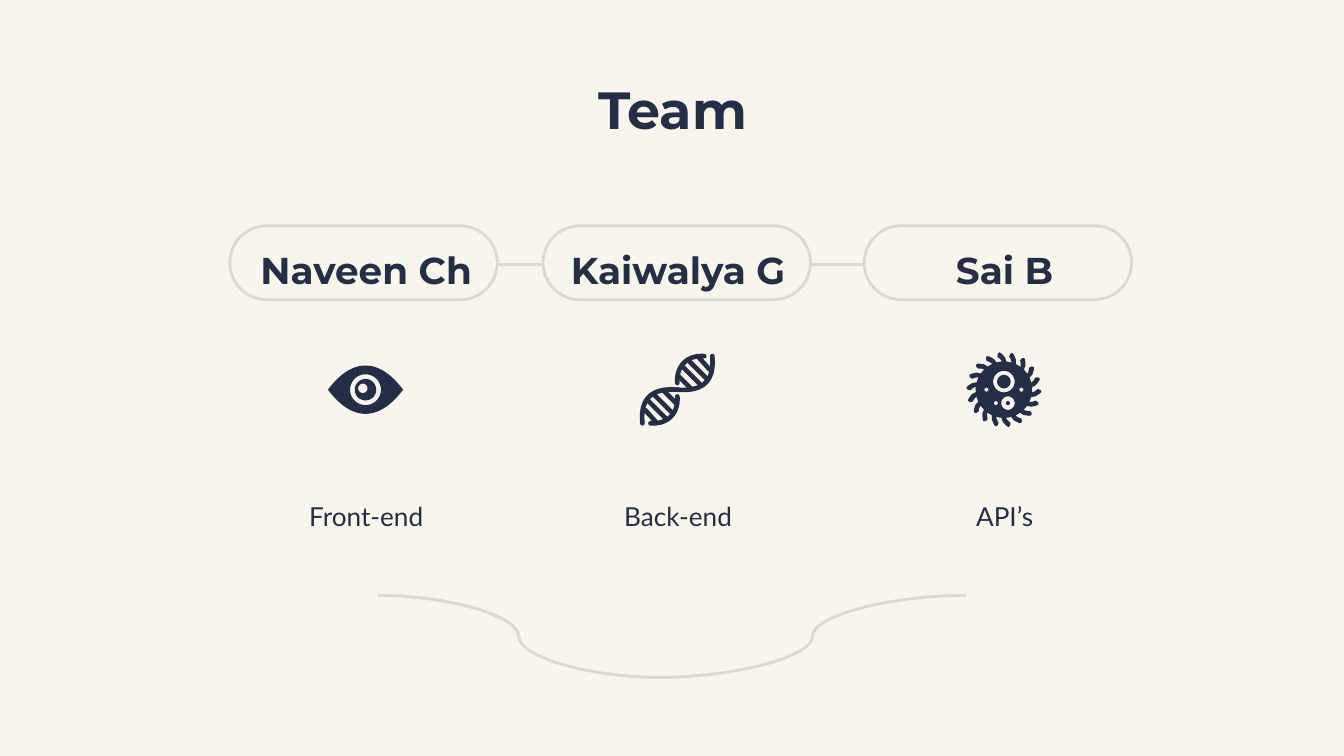
from dataclasses import dataclass
from math import cos, radians, sin

from lxml.etree import SubElement
from pptx import Presentation
from pptx.dml.color import RGBColor
from pptx.enum.shapes import MSO_CONNECTOR as Connector, MSO_SHAPE as Shape
from pptx.enum.text import MSO_ANCHOR as Anchor, PP_ALIGN as Align
from pptx.oxml.ns import qn
from pptx.util import Inches, Pt


@dataclass(frozen=True)
class Theme:
    paper: RGBColor = RGBColor.from_string("F8F5EC")
    ink: RGBColor = RGBColor.from_string("252E47")
    rule: RGBColor = RGBColor.from_string("DADACE")
    heading_font: str = "Montserrat"
    body_font: str = "Lato"
    title_size: Pt = Pt(28)
    name_size: Pt = Pt(20)
    role_size: Pt = Pt(14)
    rule_width: Pt = Pt(1.5)
    strand_width: Pt = Pt(2.5)


theme = Theme()


def write(box, text, font, size, bold=False, anchor=Anchor.MIDDLE, spacing=1.0):
    """Fill a box with one centred line of ink-coloured text."""
    frame = box.text_frame
    frame.text = text
    frame.word_wrap = True
    frame.vertical_anchor = anchor
    frame.margin_left = frame.margin_right = Inches(0.1)
    frame.margin_top = frame.margin_bottom = Inches(0.1)
    paragraph = frame.paragraphs[0]
    paragraph.alignment = Align.CENTER
    paragraph.line_spacing = spacing
    run_font = paragraph.runs[0].font
    run_font.name, run_font.size, run_font.bold = font, size, bold
    run_font.color.rgb = theme.ink


def bezier(start, pull_1, pull_2, end, steps=24):
    """Sample a cubic curve as a list of points."""
    points = []
    for i in range(steps + 1):
        t = i / steps
        weights = ((1 - t) ** 3, 3 * t * (1 - t) ** 2, 3 * t * t * (1 - t), t ** 3)
        corners = (start, pull_1, pull_2, end)
        points.append(tuple(sum(w * c[axis] for w, c in zip(weights, corners))
                            for axis in (0, 1)))
    return points


prs = Presentation()
prs.slide_width = Inches(10)
prs.slide_height = prs.slide_width * 9 // 16
slide = prs.slides.add_slide(prs.slide_layouts[5])
slide.background.fill.solid()
slide.background.fill.fore_color.rgb = theme.paper
shapes = slide.shapes

title = shapes.title
title.left, title.top = Inches(0.79), Inches(0.49)
title.width, title.height = Inches(8.43), Inches(0.63)
write(title, "Team", theme.heading_font, theme.title_size, bold=True)

# The line behind the name pills and the two halves of the curve below
for kind, x1, y1, x2, y2 in (
    (Connector.STRAIGHT, 2.89, 1.97, 7.9, 1.97),
    (Connector.CURVE, 2.81, 4.43, 4.91, 5.04),
    (Connector.CURVE, 7.19, 4.43, 4.9, 5.04),
):
    link = shapes.add_connector(kind, Inches(x1), Inches(y1), Inches(x2), Inches(y2))
    link.line.color.rgb = theme.rule
    link.line.width = theme.rule_width
    SubElement(link._element.spPr, qn("a:effectLst"))

# Team members: pill left, text left, name, role
for pill_left, text_left, name, role in (
    (1.71, 1.8, "Naveen Ch", "Front-end"),
    (4.04, 4.12, "Kaiwalya G", "Back-end"),
    (6.43, 6.55, "Sai B", "API’s"),
):
    pill = shapes.add_shape(Shape.ROUNDED_RECTANGLE, Inches(pill_left), Inches(1.68),
                            Inches(1.99), Inches(0.55))
    pill.adjustments[0] = 0.5
    pill.shadow.inherit = False
    pill.fill.solid()
    pill.fill.fore_color.rgb = theme.paper
    pill.line.color.rgb = theme.rule
    pill.line.width = theme.rule_width

    role_box = shapes.add_textbox(Inches(text_left), Inches(3.49), Inches(1.85), Inches(0.7))
    write(role_box, role, theme.body_font, theme.role_size)
    name_box = shapes.add_textbox(Inches(text_left), Inches(1.69), Inches(1.85), Inches(0.63))
    write(name_box, name, theme.heading_font, theme.name_size, bold=True,
          anchor=Anchor.TOP, spacing=1.15)

# Eye: two mirrored lids
eye = (bezier((2.44, 2.9), (2.62, 2.66), (2.82, 2.66), (3, 2.9))
       + bezier((3, 2.9), (2.82, 3.14), (2.62, 3.14), (2.44, 2.9)))

# Microbe: one bent hair (radius, angle) repeated around the body
hair = ((0.21, -94), (0.23, -97), (0.25, -101), (0.27, -100), (0.28, -97),
        (0.27, -94), (0.24, -88), (0.21, -85), (0.21, -79))
hair_count = 18
microbe = []
for i in range(hair_count):
    for radius, angle in hair:
        turn = radians(angle + i * 360 / hair_count)
        microbe.append((7.47 + radius * cos(turn), 2.9 + radius * sin(turn)))

# DNA: the upper lobe, then the same lobe turned half round the centre
upper_lobe = [
    bezier((5.24, 2.65), (5.1, 2.64), (5.03, 2.74), (5.04, 2.85)),
    bezier((5.3, 2.65), (5.31, 2.77), (5.29, 2.92), (5.04, 2.9)),
    [(5.2, 2.66), (5.28, 2.75)],
    [(5.13, 2.69), (5.26, 2.82)],
    [(5.08, 2.73), (5.21, 2.86)],
    [(5.05, 2.8), (5.14, 2.89)],
]
dna = upper_lobe + [[(10.08 - x, 5.8 - y) for x, y in strand] for strand in upper_lobe]

# Icon parts: outlines, then circles (centre x, centre y, diameter) cut out or drawn
for contours, circles, filled in (
    ([microbe], ((7.47, 2.84, 0.16), (7.5, 3, 0.1), (7.34, 2.9, 0.03),
                 (7.6, 2.9, 0.03), (7.41, 3, 0.03)), True),
    ([], ((7.47, 2.84, 0.1),), True),
    ([], ((7.5, 3, 0.03),), True),
    ([], ((2.72, 2.9, 0.16), (2.7, 2.89, 0.07)), True),
    ([eye], ((2.72, 2.9, 0.23),), True),
    (dna, (), False),
):
    rings = [[(x + diameter / 2 * cos(radians(a)), y + diameter / 2 * sin(radians(a)))
              for a in range(0, -360, -10)] for x, y, diameter in circles]
    builder = None
    for contour in contours + rings:
        points = [(Inches(x), Inches(y)) for x, y in contour]
        if builder is None:
            builder = shapes.build_freeform(*points[0])
        else:
            builder.move_to(*points[0])
        builder.add_line_segments(points[1:], close=filled)
    icon = builder.convert_to_shape()
    icon.shadow.inherit = False
    if filled:
        icon.fill.solid()
        icon.fill.fore_color.rgb = theme.ink
        icon.line.fill.background()
    else:
        icon.fill.background()
        icon.line.color.rgb = theme.ink
        icon.line.width = theme.strand_width
        icon.line._get_or_add_ln().set("cap", "rnd")

prs.save("out.pptx")
